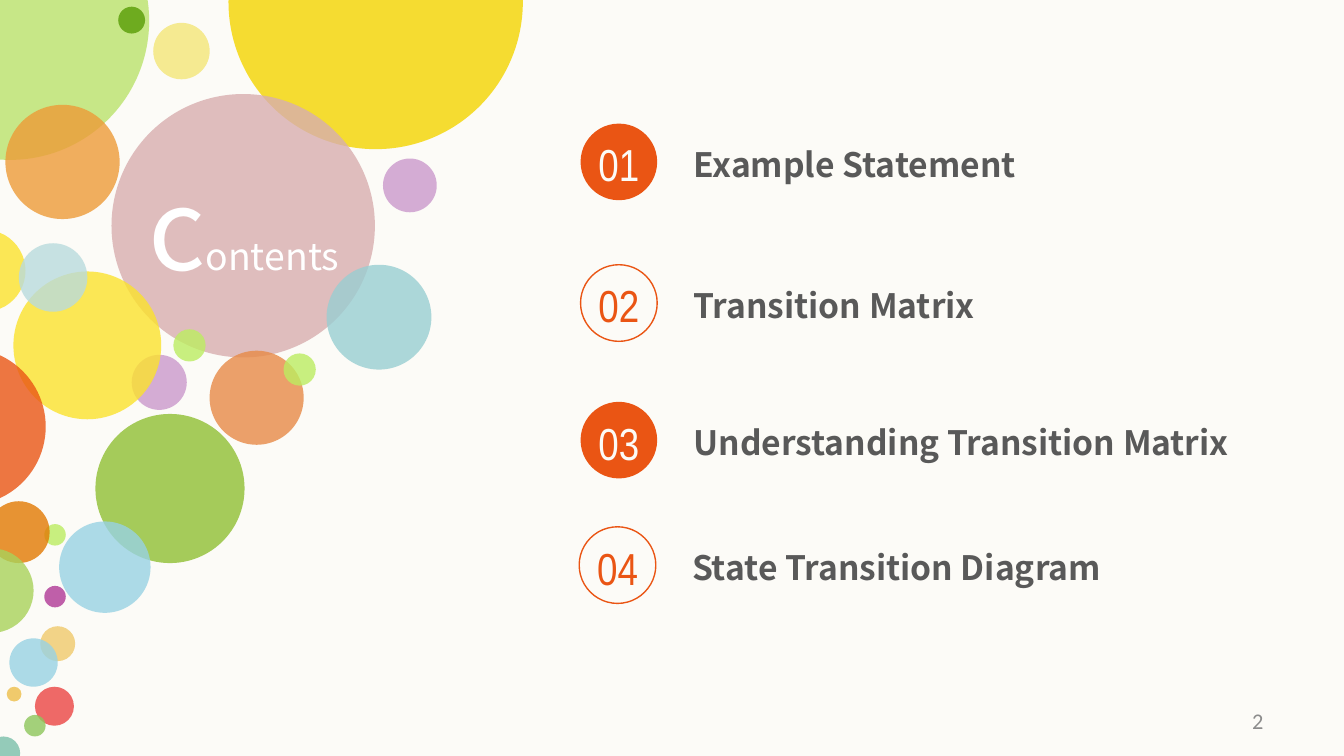
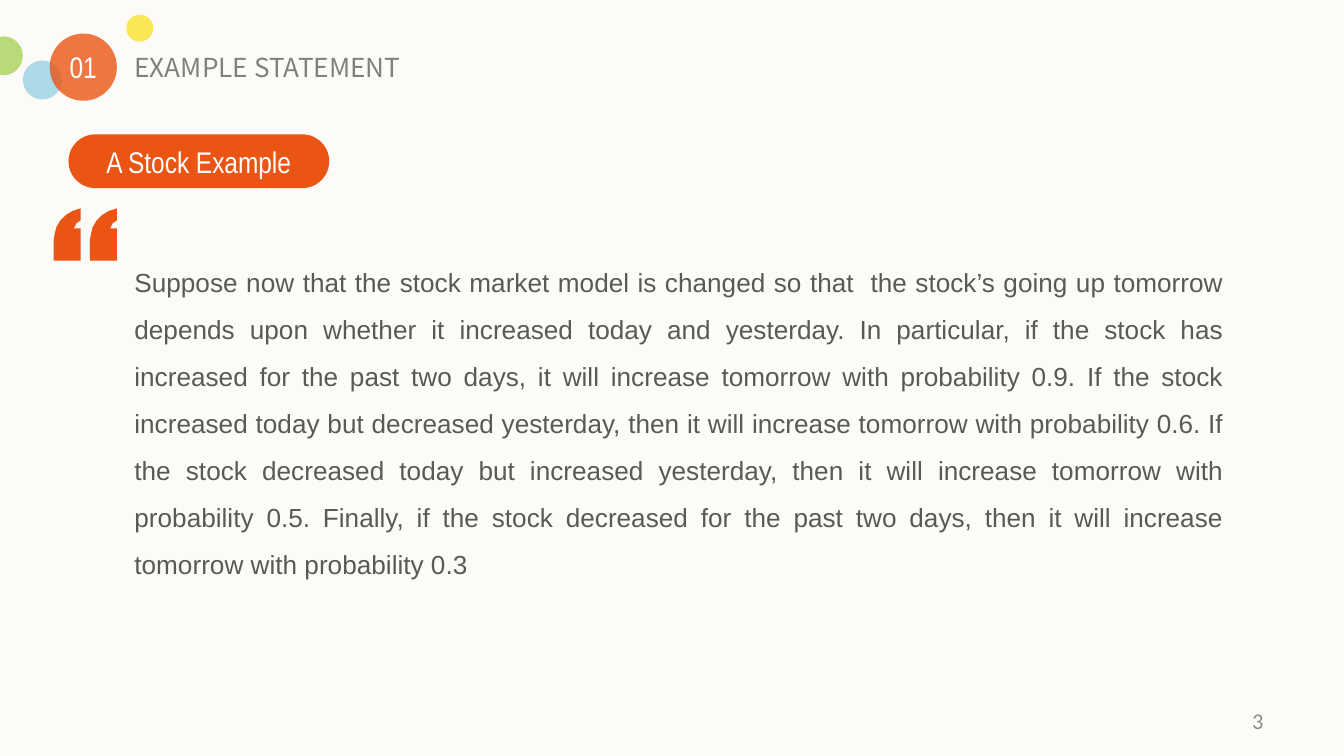
"""Build the contents slide and the example statement slide."""
from dataclasses import dataclass

from lxml import etree
from pptx import Presentation
from pptx import util as u
from pptx.dml.color import RGBColor
from pptx.enum import shapes, text
from pptx.oxml.ns import qn


@dataclass(frozen=True)
class Theme:
    """Colours, fonts and type sizes shared by the slides."""

    paper: str = "FCFBF7"
    white: str = "FFFFFF"
    orange: str = "EA5514"
    ink: str = "595959"
    heading: str = "808080"
    footer: str = "8C8C8C"
    yellow: str = "FBE22D"
    green: str = "A9D25A"
    lime: str = "BCED61"
    sky: str = "98D2E3"
    lilac: str = "CB99CC"
    sand: str = "F0CA6C"
    sans: str = "Noto Sans CJK SC"
    narrow: str = "Arial Narrow"
    body: str = "Arial"
    plain: str = "Calibri"
    initial_size: int = 60
    number_size: int = 24
    contents_size: int = 20
    label_size: int = 18
    pill_size: int = 16
    body_size: int = 14
    footer_size: int = 12


THEME = Theme()
ALIGN = text.PP_ALIGN
ANCHOR = text.MSO_ANCHOR

CONTENTS_BUBBLES = [
    (-0.96, -0.88, 2.07, "BAE36B", 80),
    (0.88, 0.05, 0.2, "6EAB1F", 100),
    (0.04, 0.78, 0.85, "ED9B38", 80),
    (1.14, 0.17, 0.42, "F5EA91", 100),
    (1.7, -1.08, 2.19, "F4D500", 80),
    (0.83, 0.7, 1.96, "D8AEAF", 80),
    (2.43, 1.97, 0.78, "99CED2", 80),
    (2.85, 1.18, 0.4, THEME.lilac, 80),
    (1.56, 2.61, 0.7, "E78A47", 80),
    (0.71, 3.08, 1.11, "A5CB5A", 100),
    (2.11, 2.63, 0.24, THEME.lime, 80),
    (1.29, 2.45, 0.24, THEME.lime, 80),
    (0.98, 2.64, 0.41, THEME.lilac, 80),
    (0.1, 2.02, 1.1, THEME.yellow, 80),
    (-0.42, 1.71, 0.61, THEME.yellow, 80),
    (0.33, 3.9, 0.16, THEME.lime, 80),
    (0.33, 4.36, 0.16, "B03896", 80),
    (0.3, 4.66, 0.26, THEME.sand, 80),
    (0.05, 5.11, 0.11, THEME.sand, 100),
    (-0.1, 5.48, 0.25, "7BBFAA", 80),
    (0.26, 5.11, 0.29, "EB4544", 80),
    (0.18, 5.32, 0.16, "8DC65B", 80),
    (0.07, 4.75, 0.36, THEME.sky, 80),
    (0.14, 1.81, 0.51, "B9DBDD", 80),
    (0.44, 3.88, 0.68, THEME.sky, 80),
    (-0.09, 3.73, 0.46, "E27902", 80),
    (-0.38, 4.08, 0.63, THEME.green, 80),
    (-0.83, 2.59, 1.17, THEME.orange, 80),
]

HEADER_BUBBLES = [
    (0.94, 0.11, 0.2, THEME.yellow, 80),
    (-0.12, 0.27, 0.29, THEME.green, 80),
    (0.17, 0.45, 0.29, THEME.sky, 80),
    (0.37, 0.25, 0.5, THEME.orange, 80),
]

CONTENTS = [
    (4.32, 0.92, "Example Statement"),
    (4.32, 1.97, "Transition Matrix"),
    (4.32, 2.99, "Understanding Transition Matrix"),
    (4.31, 3.92, "State Transition Diagram"),
]

QUOTE_OUTLINE = [
    (0, 0.39), (0, 0.28), (0, 0.23), (0.01, 0.18), (0.02, 0.14),
    (0.05, 0.09), (0.09, 0.05), (0.14, 0.02), (0.2, 0), (0.2, 0.09),
    (0.17, 0.11), (0.15, 0.15), (0.2, 0.15), (0.2, 0.39),
]

STATEMENT = (
    "Suppose now that the stock market model is changed so that  the stock’s "
    "going up tomorrow depends upon whether it increased today and yesterday. "
    "In particular, if the stock has increased for the past two days, it will "
    "increase tomorrow with probability 0.9. If the stock increased today but "
    "decreased yesterday, then it will increase tomorrow with probability 0.6. "
    "If the stock decreased today but increased yesterday, then it will "
    "increase tomorrow with probability 0.5. Finally, if the stock decreased "
    "for the past two days, then it will increase tomorrow with probability 0.3"
)


def apply_format(target, formats):
    """Set every attribute named in formats on target."""
    for name, value in formats.items():
        setattr(target, name, value)


def place(shape, left, top, width, height):
    """Move and size a shape in inches."""
    box = {"left": left, "top": top, "width": width, "height": height}
    apply_format(shape, {name: u.Inches(value) for name, value in box.items()})


def style(name, size, color, bold=False):
    """Return the format and colour of one run."""
    return {"name": name, "size": u.Pt(size), "bold": bold}, color


def write(frame, runs, align=ALIGN.LEFT, anchor=ANCHOR.TOP, spacing=1.0, inset=0):
    """Write styled runs as the only paragraph of a frame."""
    apply_format(frame, {
        "word_wrap": True, "auto_size": text.MSO_AUTO_SIZE.NONE,
        "vertical_anchor": anchor, "margin_top": 0, "margin_bottom": 0,
        "margin_left": u.Inches(inset), "margin_right": u.Inches(inset),
    })
    paragraph = frame.paragraphs[0]
    apply_format(paragraph, {"alignment": align, "line_spacing": spacing})
    for words, (formats, color) in runs:
        run = paragraph.add_run()
        run.text = words
        apply_format(run.font, formats)
        run.font.color.rgb = RGBColor.from_string(color)


def add_text(slide, box, words, look, **layout):
    """Add a text box holding one styled run."""
    shape = slide.shapes.add_textbox(*map(u.Inches, box))
    write(shape.text_frame, [(words, look)], **layout)
    return shape


def set_title(slide, box, runs, align=ALIGN.LEFT):
    """Place and format the title in front of the shapes drawn so far."""
    title = slide.shapes.title
    place(title, *box)
    write(title.text_frame, runs, align)
    title.element.getparent().append(title.element)


def paint(shape, color, opacity=100):
    """Give a shape a plain fill without line or shadow."""
    shape.shadow.inherit = False
    shape.line.fill.background()
    shape.fill.solid()
    shape.fill.fore_color.rgb = RGBColor.from_string(color)
    if opacity < 100:
        tint = shape.element.spPr.find(f"{qn('a:solidFill')}/{qn('a:srgbClr')}")
        etree.SubElement(tint, qn("a:alpha"), val=str(opacity * 1000))


def add_circle(slide, left, top, diameter, color, opacity=100):
    """Add a filled circle."""
    box = map(u.Inches, (left, top, diameter, diameter))
    circle = slide.shapes.add_shape(shapes.MSO_SHAPE.OVAL, *box)
    paint(circle, color, opacity)
    return circle


def add_contents_item(slide, index, left, top, label):
    """Add a numbered circle, filled or outlined in turn, and its label."""
    filled = index % 2 == 1
    circle = add_circle(slide, left, top, 0.57, THEME.orange)
    if not filled:
        circle.fill.background()
        circle.line.color.rgb = RGBColor.from_string(THEME.orange)
        circle.line.width = u.Pt(0.75)
    color = THEME.paper if filled else THEME.orange
    add_text(slide, (left, top + 0.1, 0.57, 0.4), f"{index:02d}",
             style(THEME.narrow, THEME.number_size, color), align=ALIGN.CENTER)
    add_text(slide, (left + 0.84, top + 0.15, 4.2, 0.3), label,
             style(THEME.sans, THEME.label_size, THEME.ink, True))


def add_pill(slide, box, words):
    """Add a fully rounded caption."""
    pill = slide.shapes.add_shape(
        shapes.MSO_SHAPE.ROUNDED_RECTANGLE, *map(u.Inches, box))
    pill.adjustments[0] = 0.5
    paint(pill, THEME.orange)
    look = style(THEME.narrow, THEME.pill_size, THEME.white)
    write(pill.text_frame, [(words, look)], ALIGN.CENTER, ANCHOR.MIDDLE)


def add_quote_mark(slide, left, top):
    """Draw an opening quotation mark as two equal strokes."""
    first, second = [
        [(u.Inches(left + shift + x), u.Inches(top + y)) for x, y in QUOTE_OUTLINE]
        for shift in (0, 0.27)
    ]
    builder = slide.shapes.build_freeform(*first[0])
    builder.add_line_segments(first[1:], close=True)
    builder.move_to(*second[0])
    builder.add_line_segments(second[1:], close=True)
    paint(builder.convert_to_shape(), THEME.orange)


def add_page_number(slide, number):
    """Add the slide number as a field at the lower right."""
    shape = add_text(slide, (7.17, 5.21, 2.33, 0.3), str(number),
                     style(THEME.plain, THEME.footer_size, THEME.footer),
                     align=ALIGN.RIGHT, anchor=ANCHOR.MIDDLE, inset=0.1)
    run = shape.text_frame.paragraphs[0].runs[0]._r
    field = etree.Element(
        qn("a:fld"), id="{B6F15528-21DE-4FAA-801E-634DDDAF4B2B}", type="slidenum")
    run.getparent().replace(run, field)
    field.extend(list(run))


def add_slide(presentation, bubbles):
    """Add a title-only slide with its bubbles."""
    slide = presentation.slides.add_slide(presentation.slide_layouts[5])
    for bubble in bubbles:
        add_circle(slide, *bubble)
    return slide


def build_contents(presentation):
    """Build the contents slide."""
    slide = add_slide(presentation, CONTENTS_BUBBLES)
    set_title(slide, (1.06, 1.18, 1.51, 1.01), [
        ("c", style(THEME.sans, THEME.initial_size, THEME.white)),
        ("ontents", style(THEME.sans, THEME.contents_size, THEME.white)),
    ], ALIGN.CENTER)
    for index, item in enumerate(CONTENTS, 1):
        add_contents_item(slide, index, *item)
    add_page_number(slide, 2)


def build_statement(presentation):
    """Build the example statement slide."""
    slide = add_slide(presentation, HEADER_BUBBLES)
    add_text(slide, (0.44, 0.36, 0.36, 0.27), "01",
             style(THEME.narrow, THEME.pill_size, THEME.white), align=ALIGN.CENTER)
    heading = style(THEME.sans, THEME.body_size, THEME.heading)
    set_title(slide, (1, 0.38, 5.48, 0.24), [("EXAMPLE STATEMENT", heading)])
    add_pill(slide, (0.51, 1, 1.94, 0.4), "A Stock Example")
    add_quote_mark(slide, 0.4, 1.55)
    add_text(slide, (1, 1.63, 8.11, 2.92), STATEMENT,
             style(THEME.body, THEME.body_size, THEME.ink),
             align=ALIGN.JUSTIFY, anchor=ANCHOR.MIDDLE, spacing=1.5)
    add_page_number(slide, 3)


def main():
    """Build and save the presentation."""
    presentation = Presentation()
    width = u.Inches(10)
    apply_format(presentation, {
        "slide_width": width, "slide_height": u.Emu(width * 9 // 16)})
    presentation.element.set("firstSlideNum", "2")
    background = presentation.slide_master.background.fill
    background.solid()
    background.fore_color.rgb = RGBColor.from_string(THEME.paper)
    build_contents(presentation)
    build_statement(presentation)
    presentation.save("out.pptx")


if __name__ == "__main__":
    main()
